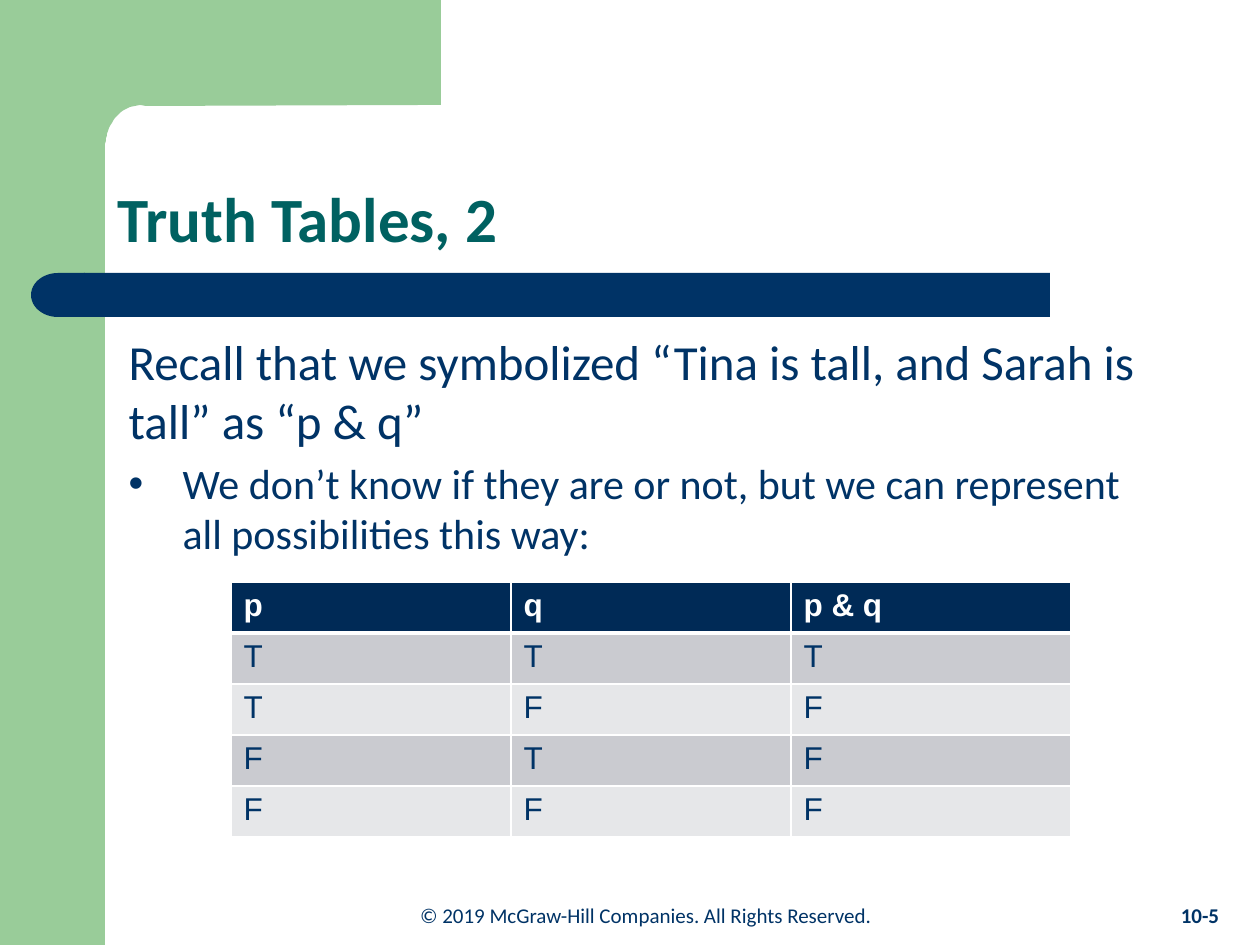
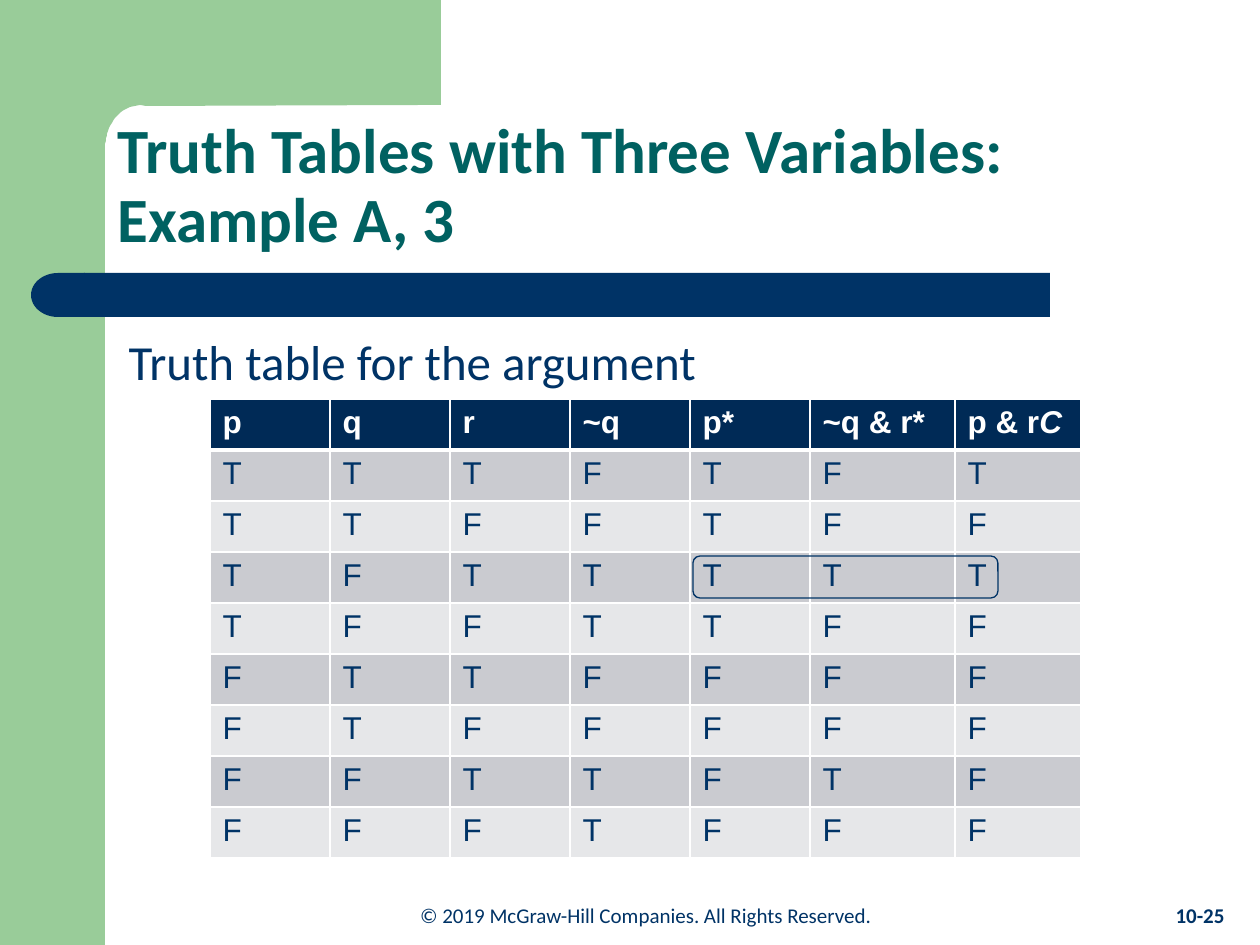
from pptx import Presentation
from pptx import util as u
from pptx.dml.color import RGBColor
from pptx.enum import shapes, text
from pptx.oxml import parse_xml
from pptx.oxml.ns import nsdecls

GREEN = RGBColor(0x99, 0xCC, 0x99)
NAVY = RGBColor(0x00, 0x33, 0x66)
TEAL = RGBColor(0x00, 0x61, 0x61)
WHITE = RGBColor(0xFF, 0xFF, 0xFF)
HEAD = RGBColor(0x00, 0x2A, 0x56)
ROWS = (RGBColor(0xCA, 0xCB, 0xD0), RGBColor(0xE6, 0xE7, 0xE9))

FOOT = "© 2019 McGraw-Hill Companies. All Rights Reserved."

# A header is a list of runs, the second run being italic.
# "mark" is the first column and the row that the outline starts in.
SLIDES = [
    {
        "title": "Truth Tables, 2",
        "lead": "Recall that we symbolized “Tina is tall, and Sarah is tall” as “p & q”",
        "points": ["We don’t know if they are or not, but we can represent "
                   "all possibilities this way:"],
        "page": "10-5",
        "at": (231, 582),
        "cols": [280] * 3,
        "head": [["p"], ["q"], ["p & q"]],
        "rows": ["TTT", "TFF", "FTF", "FFF"],
    },
    {
        "title": "Truth Tables with Three Variables: Example A, 3",
        "lead": "Truth table for the argument",
        "points": [],
        "page": "10-25",
        "at": (210, 399),
        "cols": [120] * 5 + [145, 126],
        "head": [["p"], ["q"], ["r"], ["~q"], ["p*"], ["~q & r*"], ["p & r", "C"]],
        "rows": ["TTTFTFT", "TTFFTFF", "TFTTTTT", "TFFTTFF",
                 "FTTFFFF", "FTFFFFF", "FFTTFTF", "FFFTFFF"],
        "mark": (4, 3),
    },
]

ROW = 51
SCALE = 914400 / 126
EDGE = [(441, 0), (441, 105), (146, 106), (140, 105), (130, 107)]
BENDS = [((126, 108), (121, 112), (117, 116)),
         ((113, 120), (110, 126), (108, 131)),
         ((106, 136), (106, 141), (105, 146))]
BACK = [(105, 161), (63, 161), (63, 0)]


def px(*vals):
    return [u.Emu(round(v * SCALE)) for v in vals]


def curve(a, b, c, d, steps=6):
    """Points along a cubic curve, without its start."""
    for i in range(1, steps + 1):
        t = i / steps
        s = 1 - t
        yield tuple(s**3 * p + 3 * s * s * t * q + 3 * s * t * t * r + t**3 * w
                    for p, q, r, w in zip(a, b, c, d))


def paint(shape, color):
    shape.shadow.inherit = False
    shape.fill.solid()
    shape.fill.fore_color.rgb = color
    shape.line.fill.background()


def add_run(para, words, size, color, bold=False, face="Calibri", slant=False):
    run = para.add_run()
    run.text = words
    font = run.font
    font.name, font.size, font.color.rgb = face, u.Pt(size), color
    font.bold, font.italic = bold, slant


def place(shape, *box):
    shape.left, shape.top, shape.width, shape.height = px(*box)


def add_bands(slide):
    def band(kind, *box, color=NAVY):
        shape = slide.shapes.add_shape(kind, *px(*box))
        paint(shape, color)
        return shape

    kinds = shapes.MSO_SHAPE
    band(kinds.RECTANGLE, 0, 0, 105, 945, color=GREEN)
    dots = list(EDGE)
    for bend in BENDS:
        dots += curve(dots[-1], *bend)
    dots += BACK
    path = slide.shapes.build_freeform(*dots[0], scale=SCALE)
    path.add_line_segments(dots[1:], close=True)
    paint(path.convert_to_shape(), GREEN)
    bar = band(kinds.ROUNDED_RECTANGLE, 84, 273, 966, 44)
    bar.adjustments[0] = 0
    cap = band(kinds.FLOWCHART_DELAY, 31, 273, 54, 44)
    cap.element.spPr.xfrm.set("flipH", "1")


def add_foot(slide, words, left, width, bold=False):
    frame = slide.shapes.add_textbox(*px(left, 896, width, 38)).text_frame
    frame.word_wrap = True
    para = frame.paragraphs[0]
    para.alignment = text.PP_ALIGN.CENTER
    add_run(para, words, 12, NAVY, bold)


def set_bullet(para, mark, indent):
    props = para._p.get_or_add_pPr()
    props.set("marL", str(indent))
    props.set("indent", str(-indent))
    if mark:
        props.append(parse_xml(f'<a:buClr {nsdecls("a")}><a:srgbClr val="{NAVY}"/></a:buClr>'))
        props.append(parse_xml(f'<a:buFont {nsdecls("a")} typeface="Arial"/>'))
        props.append(parse_xml(f'<a:buChar {nsdecls("a")} char="{mark}"/>'))
    else:
        props.append(parse_xml(f'<a:buNone {nsdecls("a")}/>'))


def add_words(slide, data):
    title, body = slide.shapes.title, slide.placeholders[1]
    for shape in (title, body):
        slide.shapes.element.append(shape.element)  # in front of the bands
        shape.text_frame.auto_size = text.MSO_AUTO_SIZE.NONE
    place(title, 105, 105, 1092, 157)
    title.text_frame.vertical_anchor = text.MSO_ANCHOR.BOTTOM
    para = title.text_frame.paragraphs[0]
    para.alignment, para.line_spacing = text.PP_ALIGN.LEFT, 0.9
    add_run(para, data["title"], 36, TEAL, True)

    place(body, 116, 325, 1060, 513)
    para = body.text_frame.paragraphs[0]
    set_bullet(para, None, 0)
    para.space_before = u.Pt(0)
    add_run(para, data["lead"], 28, NAVY)
    for point in data["points"]:
        para = body.text_frame.add_paragraph()
        set_bullet(para, "•", px(54)[0])
        para.space_before = u.Pt(4.8)
        add_run(para, point, 24, NAVY)


def set_edges(cell, **widths):
    props = cell._tc.get_or_add_tcPr()
    for side in "LRTB":
        wide = u.Pt(widths.get(side, 1))
        props.append(parse_xml(
            f'<a:ln{side} {nsdecls("a")} w="{wide}"><a:solidFill>'
            f'<a:srgbClr val="{WHITE}"/></a:solidFill></a:ln{side}>'))


def add_grid(slide, data):
    left, top = data["at"]
    cols = data["cols"]
    cells = [data["head"]] + [[[c] for c in row] for row in data["rows"]]
    box = px(left, top, sum(cols), ROW * len(cells))
    table = slide.shapes.add_table(len(cells), len(cols), *box).table
    for col, wide in zip(table.columns, px(*cols)):
        col.width = wide
    for r, row in enumerate(cells):
        table.rows[r].height = px(ROW)[0]
        thick = {0: {"B": 3}, 1: {"T": 3}}.get(r, {})
        for c, runs in enumerate(row):
            cell = table.cell(r, c)
            set_edges(cell, **thick)
            cell.fill.solid()
            cell.fill.fore_color.rgb = ROWS[(r - 1) % 2] if r else HEAD
            para = cell.text_frame.paragraphs[0]
            for i, words in enumerate(runs):
                add_run(para, words, 18, NAVY if r else WHITE, r == 0, "Arial", i > 0)
    if "mark" in data:
        col, row = data["mark"]
        ring = slide.shapes.add_shape(
            shapes.MSO_SHAPE.ROUNDED_RECTANGLE,
            *px(left + sum(cols[:col]) + 3, top + row * ROW + 4, 305, 42))
        ring.shadow.inherit = False
        ring.fill.background()
        ring.line.color.rgb, ring.line.width = NAVY, u.Pt(0.75)


def main():
    deck = Presentation()
    deck.slide_width, deck.slide_height = px(1260, 945)
    for data in SLIDES:
        slide = deck.slides.add_slide(deck.slide_layouts[1])
        add_bands(slide)
        add_foot(slide, FOOT, 116, 1060)
        add_foot(slide, data["page"], 1148, 104, True)
        add_words(slide, data)
        add_grid(slide, data)
    deck.save("out.pptx")


if __name__ == "__main__":
    main()
